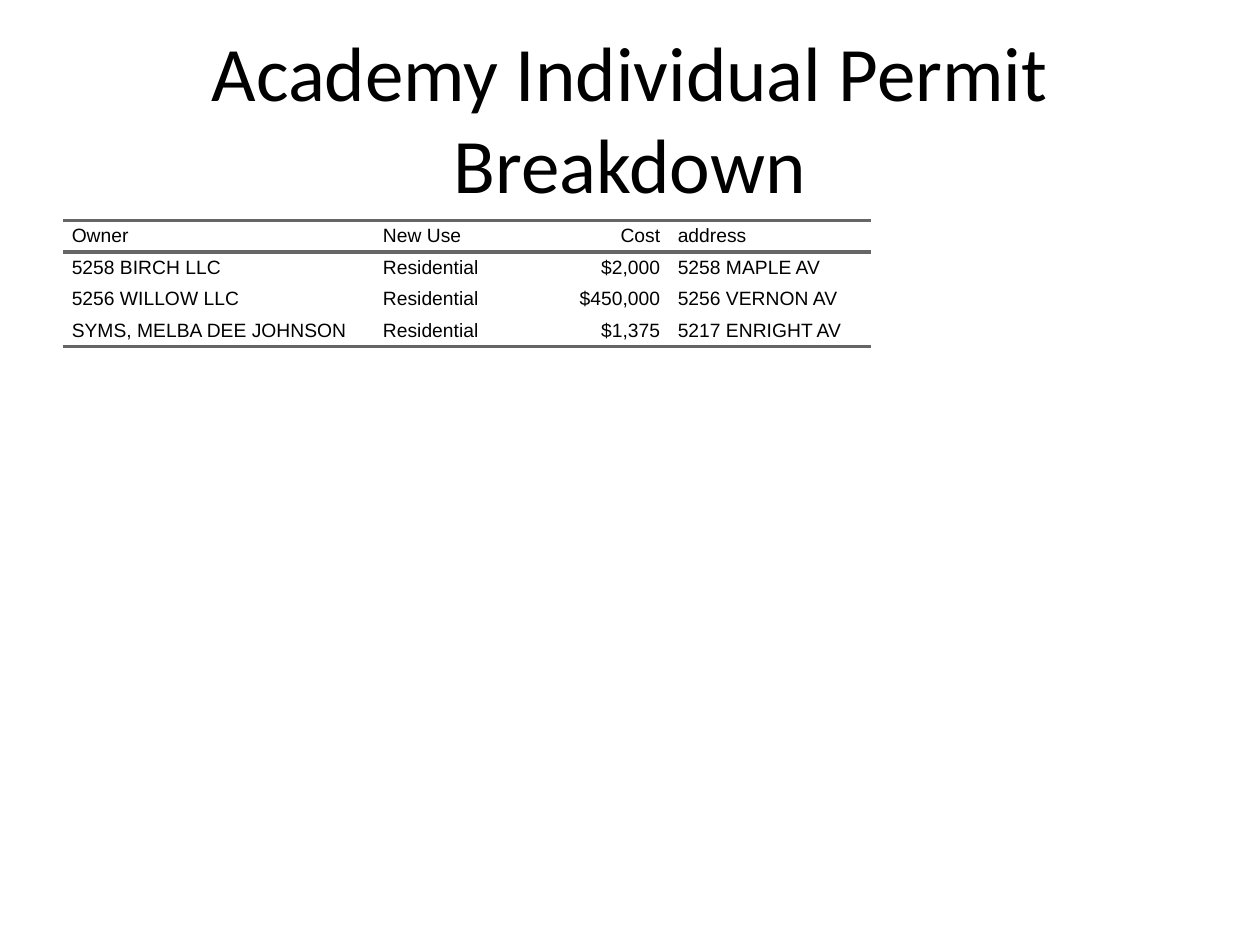
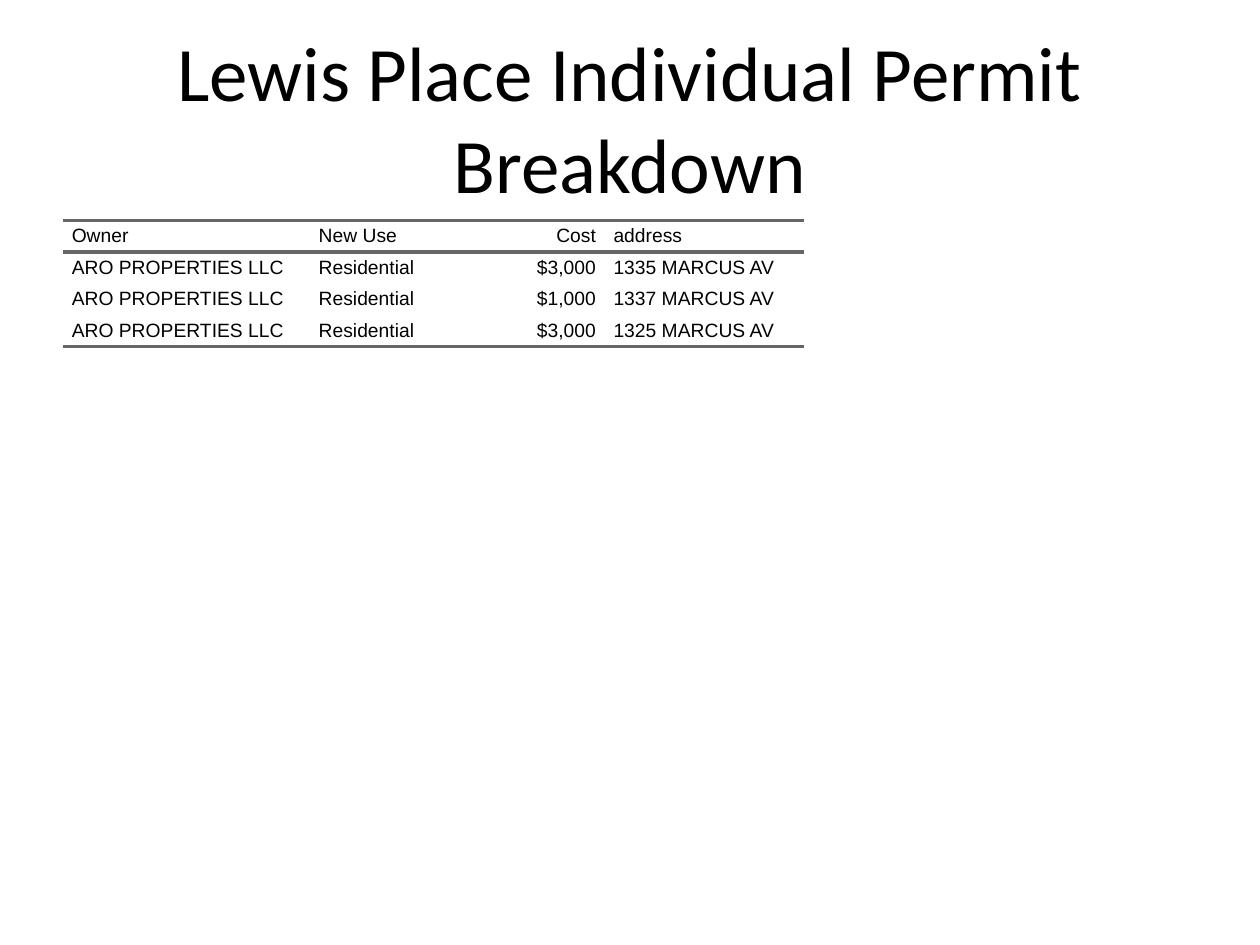
from dataclasses import dataclass

from lxml.etree import SubElement
from pptx import Presentation
from pptx.dml.color import RGBColor
from pptx.enum.text import MSO_ANCHOR as Anchor, PP_ALIGN as Align
from pptx.oxml.ns import qn
from pptx.util import Inches, Pt


@dataclass(frozen=True)
class Theme:
    ink: str = "000000"
    rule: str = "666666"
    background: str = "FFFFFF"
    title_font: str = "Calibri"
    table_font: str = "Arial"
    title_size: int = 44
    table_size: int = 11
    rule_width: int = 2


HEADINGS = ["Owner", "New Use", "Cost", "address"]
USE_WIDTH, COST_WIDTH, ROW_HEIGHT = 1.04, 1.3, 0.25
LEFT, TABLE_TOP, CELL_INSET = 0.5, 1.75, 0.07

NEIGHBORHOODS = [
    ("Academy", 2.47, 1.6, [
        ("5258 BIRCH LLC", "$2,000", "5258 MAPLE AV"),
        ("5256 WILLOW LLC", "$450,000", "5256 VERNON AV"),
        ("SYMS, MELBA DEE JOHNSON", "$1,375", "5217 ENRIGHT AV"),
    ]),
    ("Lewis Place", 1.96, 1.58, [
        ("ARO PROPERTIES LLC", "$3,000", "1335 MARCUS AV"),
        ("ARO PROPERTIES LLC", "$1,000", "1337 MARCUS AV"),
        ("ARO PROPERTIES LLC", "$3,000", "1325 MARCUS AV"),
    ]),
]


class PermitDeck:
    def __init__(self, theme):
        self.theme = theme
        self.deck = Presentation()
        self.deck.slide_width, self.deck.slide_height = Inches(10), Inches(7.5)
        self.slide = None

    def new_slide(self):
        self.slide = self.deck.slides.add_slide(self.deck.slide_layouts[6])
        fill = self.slide.background.fill
        fill.solid()
        fill.fore_color.rgb = RGBColor.from_string(self.theme.background)

    def add_text(self, frame, text, font, size, align):
        paragraph = frame.paragraphs[0]
        paragraph.alignment = align
        run = paragraph.add_run()
        run.text = text
        run.font.name, run.font.size = font, Pt(size)
        run.font.color.rgb = RGBColor.from_string(self.theme.ink)

    def title(self, text):
        box = self.slide.shapes.add_textbox(Inches(LEFT), Inches(0.3), Inches(9), Inches(1.25))
        frame = box.text_frame
        frame.word_wrap = True
        frame.vertical_anchor = Anchor.MIDDLE
        self.add_text(frame, text, self.theme.title_font, self.theme.title_size, Align.CENTER)

    def borders(self, cell, ruled_sides):
        """Rule the given sides of a cell and clear the others."""
        properties = cell._tc.get_or_add_tcPr()
        for position, side in enumerate("LRTB"):
            line = SubElement(properties, qn(f"a:ln{side}"))
            properties.insert(position, line)
            if side in ruled_sides:
                line.set("w", str(Pt(self.theme.rule_width)))
                paint = SubElement(line, qn("a:solidFill"))
                SubElement(paint, qn("a:srgbClr")).set("val", self.theme.rule)
            else:
                SubElement(line, qn("a:noFill"))

    def table(self, rows, widths):
        frame = self.slide.shapes.add_table(
            len(rows), len(widths), Inches(LEFT), Inches(TABLE_TOP),
            Inches(sum(widths)), Inches(ROW_HEIGHT * len(rows)))
        table = frame.table
        table.first_row = table.horz_banding = False
        for column, width in zip(table.columns, widths):
            column.width = Inches(width)
        for r, values in enumerate(rows):
            ruled_sides = {0: "TB", 1: "T", len(rows) - 1: "B"}.get(r, "")
            for c, value in enumerate(values):
                cell = table.cell(r, c)
                cell.margin_left = cell.margin_right = Inches(CELL_INSET)
                cell.margin_top = cell.margin_bottom = 0
                cell.vertical_anchor = Anchor.MIDDLE
                cell.fill.background()
                self.borders(cell, ruled_sides)
                align = Align.RIGHT if HEADINGS[c] == "Cost" else Align.LEFT
                self.add_text(cell.text_frame, value, self.theme.table_font,
                              self.theme.table_size, align)


def main():
    permits = PermitDeck(Theme())
    for name, owner_width, address_width, records in NEIGHBORHOODS:
        permits.new_slide()
        permits.title(f"{name} Individual Permit Breakdown")
        rows = [HEADINGS] + [(owner, "Residential", cost, address)
                             for owner, cost, address in records]
        permits.table(rows, [owner_width, USE_WIDTH, COST_WIDTH, address_width])
    permits.deck.save("out.pptx")


if __name__ == "__main__":
    main()
